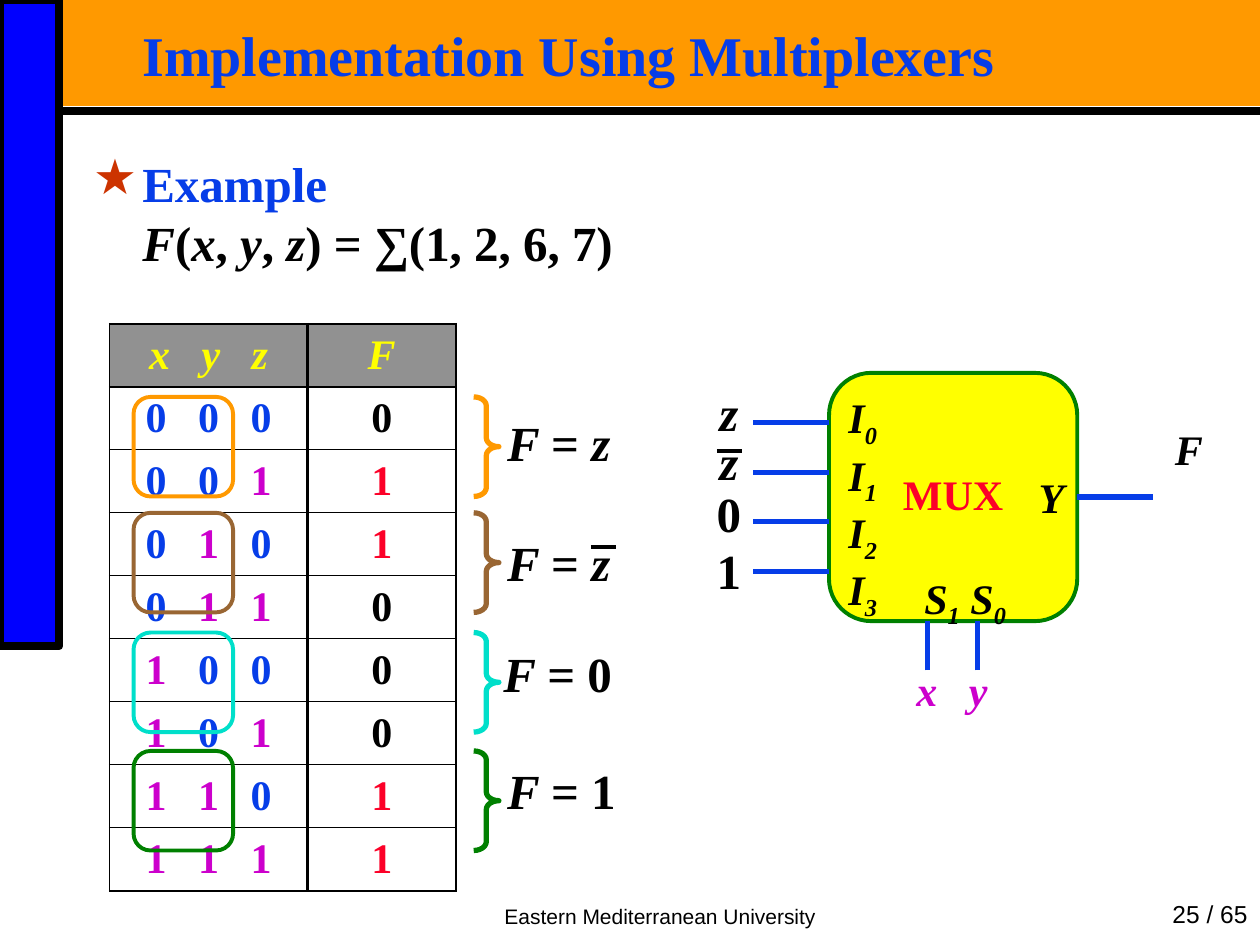
import pptx
import pptx.util
import pptx.dml.color
import pptx.enum.shapes
import pptx.enum.text
import pptx.oxml
import pptx.oxml.ns

Inches, Pt = pptx.util.Inches, pptx.util.Pt
RGB = pptx.dml.color.RGBColor.from_string
SHAPE = pptx.enum.shapes.MSO_SHAPE
ALIGN = pptx.enum.text.PP_ALIGN
ANCHOR = pptx.enum.text.MSO_ANCHOR
AUTO = pptx.enum.text.MSO_AUTO_SIZE
qn = pptx.oxml.ns.qn

THEME = dict(
    blue="063DE8", side="0000FF", orange="FF9900", black="000000", yellow="FFFF00",
    gray="919191", magenta="CC00CC", red="FC0128", green="008000", brown="996633",
    cyan="00DFCA", star="CC3300", serif="Times New Roman", sans="Arial",
    title=32, large=28, label=24, page=14, footer=12,
)

IT, SUB, GAP = dict(italic=True), dict(sub=True), dict(spc=12)
F, Z = ("F", IT), ("z", IT)

TITLE = "Implementation Using Multiplexers"
FUNCTION = [("Example", dict(color="blue")), "\n", F, "(", ("x", IT), ", ", ("y", IT), ", ", Z,
            ") = ∑(1, 2, 6, 7)"]
VARIABLES = "xyz"
OUTPUTS = [0, 1, 1, 0, 0, 0, 1, 1]
GROUPS = [
    ("orange", 3.15, [("F ", IT), "= ", Z], 4.02, 3.33, 0.83),
    ("brown", 4.07, [("F ", IT), "= ", Z], 4.02, 4.28, 0.83),
    ("cyan", 5.02, [("F ", IT), "= 0"], 3.99, 5.16, 0.87),
    ("green", 5.96, [("F ", IT), "= 1"], 4.02, 6.09, 0.87),
]
INPUTS = [([Z], 3.09), ([Z], 3.48), (["0"], 3.89), (["1"], 4.34)]
OVERLINES = [(4.69, 4.34), (5.69, 3.58)]
SELECT_X = [7.36, 7.76]

MUX_LEFT, MUX_TOP, MUX_SIZE = 6.58, 2.96, 1.97
WIRE = 0.6
TABLE_LEFT, TABLE_TOP, ROW = 0.87, 2.57, 0.5
COLUMNS = [1.57, 1.18]
PAIR = 0.79


def write(tf, text, size="label", color="black", font="serif", bold=True, italic=False,
          align=ALIGN.CENTER, anchor=ANCHOR.TOP, spacing=None, inset=(0, 0), wrap=True):
    tf.word_wrap = wrap
    tf.auto_size = AUTO.NONE
    tf.vertical_anchor = anchor
    tf.margin_left = tf.margin_right = Inches(inset[0])
    tf.margin_top = tf.margin_bottom = Inches(inset[1])
    paragraphs = text if isinstance(text[0], list) else [text]
    for i, runs in enumerate(paragraphs):
        p = tf.add_paragraph() if i else tf.paragraphs[0]
        p.alignment = align
        if spacing:
            p.line_spacing = spacing
        for run in [runs] if isinstance(runs, str) else runs:
            if run == "\n":
                p.add_line_break()
                continue
            words, style = (run, {}) if isinstance(run, str) else run
            r = p.add_run()
            r.text = words
            r.font.name = THEME[font]
            r.font.size = Pt(THEME[size])
            r.font.bold = bold
            r.font.italic = style.get("italic", italic)
            r.font.color.rgb = RGB(THEME[style.get("color", color)])
            if style.get("sub"):
                r.font._element.set("baseline", "-25000")
            if "spc" in style:
                r.font._element.set("spc", str(style["spc"] * 100))


def add_text(s, text, x, y, w, h, **fmt):
    box = s.shapes.add_textbox(Inches(x), Inches(y), Inches(w), Inches(h))
    write(box.text_frame, text, **fmt)
    return box


def add_shape(s, kind, x, y, w, h, fill=None, line=None, width=2.25, adjust=()):
    shape = s.shapes.add_shape(kind, Inches(x), Inches(y), Inches(w), Inches(h))
    shape.shadow.inherit = False
    if fill:
        shape.fill.solid()
        shape.fill.fore_color.rgb = RGB(THEME[fill])
    else:
        shape.fill.background()
    if line:
        shape.line.color.rgb = RGB(THEME[line])
        shape.line.width = Pt(width)
    else:
        shape.line.fill.background()
    for i, value in enumerate(adjust):
        shape.adjustments[i] = value
    return shape


def add_line(s, x1, y1, x2, y2, color="blue", width=3):
    line = s.shapes.add_connector(pptx.enum.shapes.MSO_CONNECTOR.STRAIGHT,
                                  Inches(x1), Inches(y1), Inches(x2), Inches(y2))
    line.line.color.rgb = RGB(THEME[color])
    line.line.width = Pt(width)
    line._element.spPr.append(pptx.oxml.parse_xml(
        f'<a:effectLst {pptx.oxml.ns.nsdecls("a")}/>'))
    return line


def set_borders(cell, **widths):
    tcPr = cell._tc.get_or_add_tcPr()
    for i, side in enumerate("LRTB"):
        tcPr.insert(i, pptx.oxml.parse_xml(
            f'<a:ln{side} {pptx.oxml.ns.nsdecls("a")} w="{Pt(widths[side])}"><a:solidFill>'
            f'<a:srgbClr val="{THEME["black"]}"/></a:solidFill></a:ln{side}>'))


def spread(runs):
    return [part for run in runs for part in ((" ", GAP), run)][1:]


def add_truth_table(s):
    rows = [(spread(VARIABLES), "F", "yellow")]
    for n, out in enumerate(OUTPUTS):
        bits = [(b, dict(color="magenta" if b == "1" else "blue")) for b in f"{n:03b}"]
        rows.append((spread(bits), str(out), "red" if out else "black"))
    table = s.shapes.add_table(len(rows), 2, Inches(TABLE_LEFT), Inches(TABLE_TOP),
                               Inches(sum(COLUMNS)), Inches(ROW * len(rows))).table
    table.first_row = table.horz_banding = False
    for column, width in zip(table.columns, COLUMNS):
        column.width = Inches(width)
    last = len(rows) - 1
    for i, (inputs, output, color) in enumerate(rows):
        table.rows[i].height = Inches(ROW)
        for j, text in enumerate((inputs, output)):
            cell = table.cell(i, j)
            write(cell.text_frame, text, color=color, italic=i == 0)
            cell.vertical_anchor = ANCHOR.MIDDLE
            cell.margin_left = cell.margin_right = Inches(0.1)
            cell.margin_top = cell.margin_bottom = Inches(0.05)
            if i == 0:
                cell.fill.solid()
                cell.fill.fore_color.rgb = RGB(THEME["gray"])
            else:
                cell.fill.background()
            set_borders(cell, L=1.47 if j else 1.08, R=1.08 if j else 1.47,
                        T={0: 1.08, 1: 1.47}.get(i, 0.45),
                        B={0: 1.47, last: 1.08}.get(i, 0.45))


def add_mux(s):
    right, bottom = MUX_LEFT + MUX_SIZE, MUX_TOP + MUX_SIZE
    middle = MUX_TOP + MUX_SIZE / 2
    mux = add_shape(s, SHAPE.ROUNDED_RECTANGLE, MUX_LEFT, MUX_TOP, MUX_SIZE, MUX_SIZE,
                    fill="yellow", line="green", adjust=[0.17])
    write(mux.text_frame, "MUX", color="red", anchor=ANCHOR.MIDDLE, spacing=0.9, wrap=False)
    for x in SELECT_X:
        add_line(s, x, bottom + 0.39, x, bottom)
    for i in range(len(INPUTS)):
        y = MUX_TOP + MUX_SIZE * (i + 1) / 5
        add_line(s, MUX_LEFT - WIRE, y, MUX_LEFT, y)
    add_line(s, right, middle, right + WIRE, middle).begin_connect(mux, 3)
    add_text(s, "Y", 8.15, 3.74, 0.39, 0.4, italic=True)
    add_text(s, [["I", (str(i), SUB)] for i in range(len(INPUTS))], 6.57, 3.11, 0.39, 1.82,
             italic=True, align=ALIGN.RIGHT)
    add_text(s, ["S", ("1", SUB), " S", ("0", SUB)], 7.17, 4.54, 0.98, 0.46, italic=True)
    add_text(s, spread("xy"), 7.27, 5.32, 0.57, 0.36, color="magenta", italic=True,
             spacing=0.9, wrap=False)
    add_text(s, "F", 9.14, 3.36, 0.59, 0.4, italic=True)
    for text, top in INPUTS:
        add_text(s, text, 5.69, top, 0.19, 0.42, size="large", spacing=0.9, wrap=False)


def main():
    prs = pptx.Presentation()
    prs.slide_width, prs.slide_height = Inches(10), Inches(7.5)
    s = prs.slides.add_slide(prs.slide_layouts[6])
    add_shape(s, SHAPE.RECTANGLE, 0.47, 0, 9.53, 0.84, fill="orange")
    add_shape(s, SHAPE.RECTANGLE, 0, 0, 0.47, 5.13, fill="side", line="black", width=4.5)
    add_line(s, 0.47, 0.88, 10, 0.88, color="black", width=4.5)
    page = dict(font="sans", bold=False, anchor=ANCHOR.BOTTOM, inset=(0.1, 0.05))
    add_text(s, "Eastern Mediterranean University", 3.43, 7.1, 3.62, 0.32, size="footer", **page)
    add_text(s, "25 / 65", 8.69, 7.1, 1.31, 0.32, size="page", align=ALIGN.RIGHT, **page)
    add_text(s, TITLE, 1.06, 0.21, 8.66, 0.52, size="title", color="blue", align=ALIGN.LEFT,
             spacing=0.87, inset=(0.07, 0.03))
    add_mux(s)
    add_truth_table(s)
    body = add_text(s, FUNCTION, 0.67, 1.19, 9.06, 0.99, size="large", align=ALIGN.LEFT,
                    inset=(0.07, 0.03))
    pPr = body.text_frame.paragraphs[0]._p.get_or_add_pPr()
    pPr.set("marL", str(Inches(0.39)))
    pPr.set("indent", str(-Inches(0.39)))
    color = pptx.oxml.parse_xml(f'<a:buClr {pptx.oxml.ns.nsdecls("a")}>'
                                f'<a:srgbClr val="{THEME["star"]}"/></a:buClr>')
    pPr.append(color)
    pPr.append(pPr.makeelement(qn("a:buChar"), {"char": "★"}))
    for color, top, formula, x, y, w in GROUPS:
        add_shape(s, SHAPE.ROUNDED_RECTANGLE, 1.06, top, PAIR, PAIR, line=color, adjust=[0.17])
        add_shape(s, SHAPE.RIGHT_BRACE, 3.76, top, 0.2, PAIR, line=color, width=3,
                  adjust=[0.35, 0.5])
        add_text(s, formula, x, y, w, 0.42, size="large", spacing=0.9, wrap=False)
    for x, y in OVERLINES:
        add_line(s, x, y, x + 0.2, y, color="black", width=2.25)
    prs.save("out.pptx")


if __name__ == "__main__":
    main()
